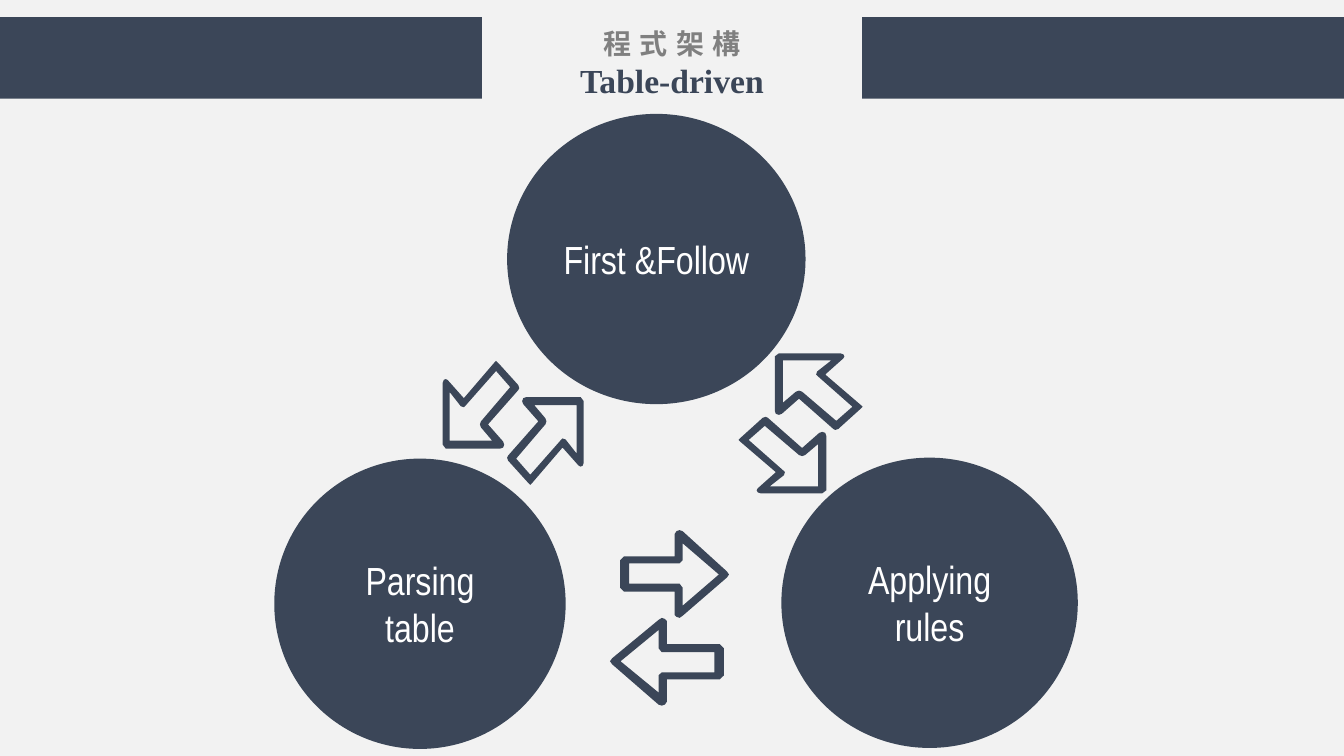
"""Build the table-driven program structure slide on a grid of 1333 by 750 cells."""
import pptx
import pptx.util
import pptx.dml.color
import pptx.enum.shapes
import pptx.enum.text
import lxml.etree

NAVY = pptx.dml.color.RGBColor(0x3B, 0x46, 0x58)
GRAY = pptx.dml.color.RGBColor(0x80, 0x80, 0x80)
PALE = pptx.dml.color.RGBColor(0xF2, 0xF2, 0xF2)
WHITE = pptx.dml.color.RGBColor(0xFF, 0xFF, 0xFF)
CELL = pptx.util.Inches(0.01)
COLS, ROWS = 1333, 750
KIND = pptx.enum.shapes.MSO_SHAPE


def write(para, text, font, size, color, bold=False, gap=0):
    para.alignment = pptx.enum.text.PP_ALIGN.CENTER
    run = para.add_run()
    run.text = text
    run.font.name = font
    run.font.size = pptx.util.Pt(size)
    run.font.bold = bold
    run.font.color.rgb = color
    props = run._r.get_or_add_rPr()
    props.set("spc", str(gap * 100))
    east = lxml.etree.SubElement(props, pptx.oxml.ns.qn("a:ea"))
    east.set("typeface", font)


def place(shape, left, top, width, height):
    shape.left, shape.top = left * CELL, top * CELL
    shape.width, shape.height = width * CELL, height * CELL
    shape.shadow.inherit = False
    shape.fill.solid()
    shape.fill.fore_color.rgb = NAVY
    shape.line.fill.background()


deck = pptx.Presentation()
deck.slide_width, deck.slide_height = COLS * CELL, ROWS * CELL
slide = deck.slides.add_slide(deck.slide_layouts[5])
slide.background.fill.solid()
slide.background.fill.fore_color.rgb = PALE
shapes = slide.shapes

BAR = 478
for left in (0, COLS - BAR):
    place(shapes.add_shape(KIND.RECTANGLE, 0, 0, CELL, CELL), left, 17, BAR, 81)

title = shapes.title
title.left, title.top = 488 * CELL, 21 * CELL
title.width, title.height = 357 * CELL, 84 * CELL
frame = title.text_frame
frame.word_wrap = True
frame.auto_size = pptx.enum.text.MSO_AUTO_SIZE.SHAPE_TO_FIT_TEXT
frame.vertical_anchor = pptx.enum.text.MSO_ANCHOR.TOP
write(frame.paragraphs[0], "程式架構", font="Noto Sans CJK SC", size=20,
      color=GRAY, bold=True, gap=6)
write(frame.add_paragraph(), "Table-driven", font="Times New Roman", size=24,
      color=NAVY, bold=True)

stages = [
    ("First &Follow", 503, 113, 296),
    ("Parsing table", 272, 455, 289),
    ("Applying rules", 775, 454, 294),
]
for text, left, top, width in stages:
    disc = shapes.add_shape(KIND.OVAL, 0, 0, CELL, CELL)
    place(disc, left, top, width, 288)
    frame = disc.text_frame
    frame.word_wrap = True
    frame.vertical_anchor = pptx.enum.text.MSO_ANCHOR.MIDDLE
    write(frame.paragraphs[0], text, font="Arial Narrow", size=28, color=WHITE)

LEVEL = [
    [(54, 61), (4, 61), (0, 57), (0, 30), (4, 26), (54, 26), (54, 4), (56, 1),
     (59, 0), (62, 1), (106, 41), (108, 44), (106, 47), (62, 85), (59, 87),
     (56, 86), (54, 84)],
    [(9, 53), (59, 53), (62, 57), (62, 75), (98, 44), (62, 13), (62, 30),
     (59, 33), (9, 33)],
]
SLANT = [
    [(1, 58), (31, 24), (16, 7), (15, 4), (16, 1), (19, 0), (73, 0), (76, 4),
     (76, 65), (75, 68), (73, 69), (71, 68), (55, 50), (25, 85), (23, 87),
     (20, 84), (1, 63), (0, 60)],
    [(38, 27), (9, 61), (23, 77), (53, 43), (55, 41), (58, 42), (69, 56),
     (69, 8), (27, 8), (38, 21), (39, 24)],
]
arrows = [
    (LEVEL, 615, 526, 108, 0),
    (LEVEL, 605, 613, 113, 180),
    (SLANT, 503, 394, 76, 0),
    (SLANT, 439, 358, 76, 180),
    (SLANT, 738, 408, 76, 90),
    (SLANT, 774, 345, 76, 270),
]
for (rim, hole), left, top, width, turn in arrows:
    pen = shapes.build_freeform(*rim[0], scale=CELL)
    pen.add_line_segments(rim[1:], close=True)
    pen.move_to(*hole[0])
    pen.add_line_segments(hole[1:], close=True)
    arrow = pen.convert_to_shape()
    place(arrow, left, top, width, 87)
    arrow.rotation = turn

deck.save("out.pptx")
